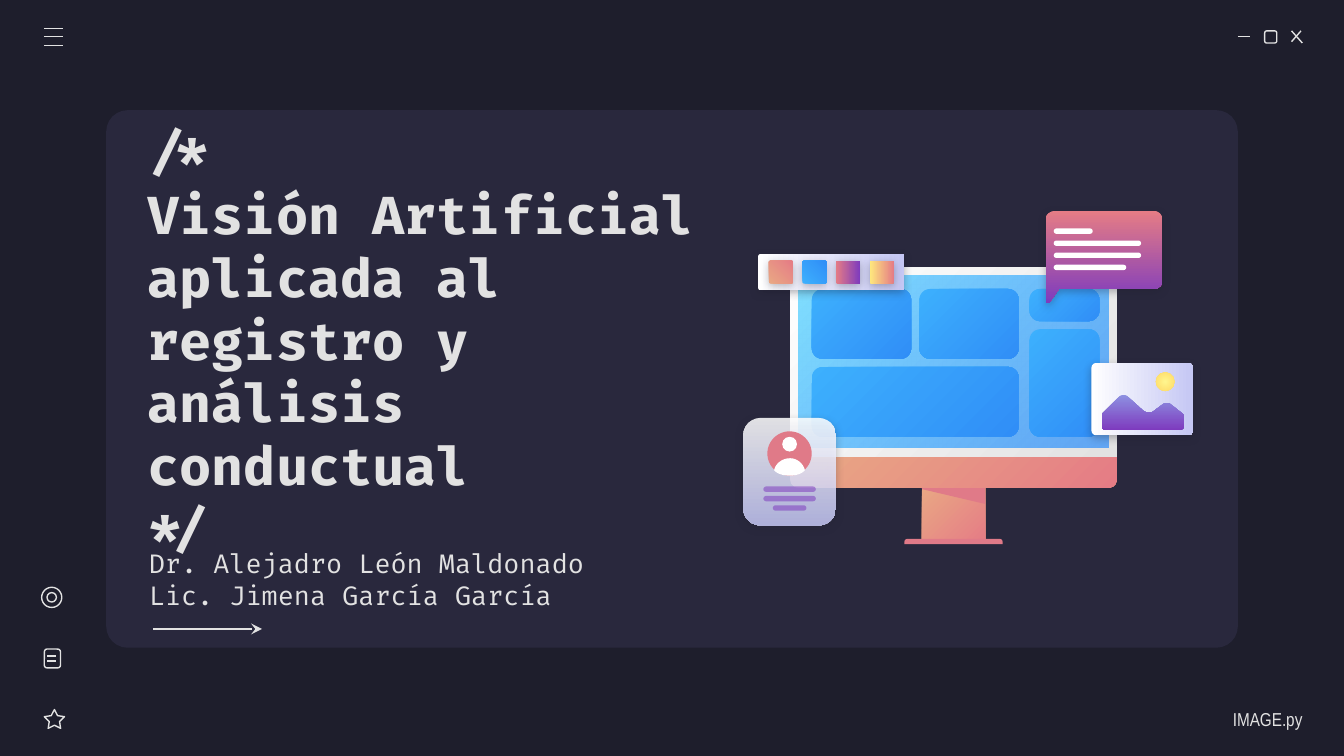
from lxml import etree
from pptx import Presentation
from pptx.dml.color import RGBColor
from pptx.enum import shapes, text
from pptx.oxml.ns import qn
from pptx.util import Inches, Pt

BG, PANEL, INK = "1E1E2C", "29283D", "E2E2E2"
WHITE, ROSE, VIOLET = "FFFFFF", "E07A88", "7E3BBE"
CORAL = ("E9A984", "E57C85", 45)
SILVER = ("FFFFFF", "E2E2E2", 45)
BLUE = ("3DB0FD", "308EF7", 45)
LILAC = ("FFFFFF", "C5C7F4", 0)
RECT, ROUND, TOP_ROUND, OVAL, STAR = (
    shapes.MSO_SHAPE.RECTANGLE, shapes.MSO_SHAPE.ROUNDED_RECTANGLE,
    shapes.MSO_SHAPE.ROUND_2_SAME_RECTANGLE, shapes.MSO_SHAPE.OVAL,
    shapes.MSO_SHAPE.STAR_5_POINT)


def rgb(value):
    return RGBColor.from_string(value)


def set_alpha(fill_xml, alphas):
    for clr, alpha in zip(fill_xml.iter(qn("a:srgbClr")), alphas):
        etree.SubElement(clr, qn("a:alpha"), val=str(alpha * 1000))


def style(sp, fill=None, line=None, alphas=(), shadow=False):
    sp.shadow.inherit = False
    if fill is None:
        sp.fill.background()
    elif isinstance(fill, str):
        sp.fill.solid()
        sp.fill.fore_color.rgb = rgb(fill)
    else:
        sp.fill.gradient()
        sp.fill.gradient_angle = -fill[2] % 360
        for i, stop in enumerate(sp.fill.gradient_stops):
            stop.color.rgb = rgb(fill[i])
            stop.position = i
    spPr = sp._element.spPr
    set_alpha(spPr, alphas)
    if line:
        sp.line.color.rgb = rgb(line)
        sp.line.width = Pt(0.75)
    else:
        sp.line.fill.background()
    if shadow:
        outer = etree.SubElement(
            spPr.find(qn("a:effectLst")), qn("a:outerShdw"), blurRad=str(Pt(4.5)),
            dist=str(Pt(1.5)), dir="5400000", algn="bl", rotWithShape="0")
        etree.SubElement(outer, qn("a:srgbClr"), val=BG)
        set_alpha(outer, [30])
    return sp


def add_shape(parent, kind, x, y, w, h, fill=None, adj=(), **look):
    sp = parent.add_shape(kind, Inches(x), Inches(y), Inches(w), Inches(h))
    for i, value in enumerate(adj):
        sp.adjustments[i] = value
    return style(sp, fill, **look)


def add_path(parent, x, y, start, segments, fill, **look):
    points, last = [], start
    for seg in segments:
        if len(seg) == 2:
            points.append(seg)
        else:
            a, b, c = seg[:2], seg[2:4], seg[4:]
            for t in (i / 8 for i in range(1, 9)):
                s = 1 - t
                points.append(tuple(
                    s**3 * last[k] + 3 * s * s * t * a[k] + 3 * s * t * t * b[k] + t**3 * c[k]
                    for k in (0, 1)))
        last = points[-1]
    place = lambda p: (Inches(x + p[0]), Inches(y + p[1]))
    ff = parent.build_freeform(*place(start))
    ff.add_line_segments([place(p) for p in points], close=True)
    return style(ff.convert_to_shape(), fill, **look)


def add_line(parent, x1, y1, x2, y2, arrow=False):
    cx = parent.add_connector(shapes.MSO_CONNECTOR.STRAIGHT,
                              Inches(x1), Inches(y1), Inches(x2), Inches(y2))
    cx.line.color.rgb = rgb(INK)
    cx.line.width = Pt(0.75)
    spPr = cx._element.spPr
    if arrow:
        etree.SubElement(spPr.find(qn("a:ln")), qn("a:tailEnd"), type="stealth")
    etree.SubElement(spPr, qn("a:effectLst"))


def add_text(parent, x, y, w, h, lines, size, font, bold=False, align=None, right=0.1):
    tb = parent.add_textbox(Inches(x), Inches(y), Inches(w), Inches(h))
    tf = tb.text_frame
    tf.word_wrap = True
    tf.vertical_anchor = text.MSO_ANCHOR.MIDDLE
    tf.margin_left = tf.margin_top = tf.margin_bottom = Inches(0.1)
    tf.margin_right = Inches(right)
    tf.text = lines
    for p in tf.paragraphs:
        p.font.size, p.font.name, p.font.bold = Pt(size), font, bold
        p.font.color.rgb = rgb(INK)
        if align:
            p.alignment = align


def window_buttons(parent, x, y):
    add_line(parent, x, y + 0.04, x + 0.09, y + 0.04)
    add_shape(parent, ROUND, x + 0.2, y, 0.09, 0.09, adj=[0.167], line=INK)
    add_line(parent, x + 0.4, y, x + 0.48, y + 0.09)
    add_line(parent, x + 0.47, y, x + 0.4, y + 0.08)


def menu_icon(parent, x, y):
    for dy in (0, 0.06, 0.13):
        add_line(parent, x, y + dy, x + 0.14, y + dy)


def side_icons(parent, x, y):
    add_shape(parent, OVAL, x, y, 0.15, 0.15, line=INK)
    add_shape(parent, OVAL, x + 0.04, y + 0.04, 0.07, 0.07, line=INK)
    add_shape(parent, ROUND, x + 0.02, y + 0.46, 0.12, 0.14, adj=[0.167], line=INK)
    for dy in (0.51, 0.55):
        add_line(parent, x + 0.04, y + dy, x + 0.11, y + dy)
    add_shape(parent, STAR, x + 0.02, y + 0.91, 0.15, 0.14, adj=[0.254], line=INK)


def monitor(parent, x, y):
    add_shape(parent, RECT, x + 0.98, y + 1.62, 0.47, 0.43, CORAL)
    add_shape(parent, TOP_ROUND, x + 0.85, y + 2.02, 0.73, 0.04, ROSE, adj=[0.5, 0])
    add_path(parent, x + 0.98, y + 1.62, (0, 0),
             [(0, 0.03), (0.47, 0.14), (0.47, 0)], ROSE)
    add_shape(parent, TOP_ROUND, x, y + 1.4, 2.43, 0.24, CORAL, adj=[0, 0.26])
    add_shape(parent, TOP_ROUND, x, y, 2.43, 1.41, SILVER, adj=[0.04, 0])
    add_shape(parent, RECT, x + 0.06, y + 0.06, 2.31, 1.28,
              ("80DFFF", "318FFA", 45), alphas=(100, 72))
    tiles = [(0.16, 0.16, 0.74, 0.52), (0.16, 0.74, 1.54, 0.52), (0.96, 0.16, 0.74, 0.52),
             (1.78, 0.16, 0.52, 0.24), (1.78, 0.46, 0.52, 0.8)]
    for dx, dy, w, h in tiles:
        add_shape(parent, ROUND, x + dx, y + dy, w, h, BLUE, adj=[0.08 / min(w, h)])


def speech_bubble(parent, x, y):
    add_path(parent, x, y, (0.07, 0), [
        (0.03, 0, 0, 0.03, 0, 0.07), (0, 0.67), (0, 0.68, 0.02, 0.69, 0.03, 0.68),
        (0.1, 0.58), (0.81, 0.58), (0.84, 0.58, 0.87, 0.55, 0.87, 0.52),
        (0.87, 0.07), (0.87, 0.03, 0.84, 0, 0.81, 0)],
        ("E57C85", VIOLET, 90), shadow=True)
    for i, w in enumerate((0.29, 0.65, 0.65, 0.54)):
        add_shape(parent, ROUND, x + 0.06, y + 0.13 + i * 0.09, w, 0.04, WHITE, adj=[0.5])


def profile_card(parent, x, y):
    add_shape(parent, ROUND, x, y, 0.69, 0.8, ("FFFFFF", "C5C7F4", 90),
              adj=[0.187], alphas=(86, 86), shadow=True)
    add_shape(parent, OVAL, x + 0.18, y + 0.1, 0.33, 0.33, ROSE)
    add_shape(parent, OVAL, x + 0.29, y + 0.14, 0.11, 0.11, WHITE)
    add_path(parent, x + 0.23, y + 0.3, (0.12, 0), [
        (0.06, 0, 0.01, 0.04, 0, 0.09), (0.03, 0.12, 0.07, 0.13, 0.12, 0.13),
        (0.16, 0.13, 0.2, 0.12, 0.23, 0.09), (0.22, 0.04, 0.17, 0, 0.12, 0)], WHITE)
    for i, w in enumerate((0.39, 0.39, 0.25)):
        add_shape(parent, ROUND, x + (0.69 - w) / 2, y + 0.51 + i * 0.07, w, 0.04,
                  VIOLET, adj=[0.5], alphas=[54])


def photo(parent, x, y):
    add_shape(parent, ROUND, x, y, 0.76, 0.54, LILAC, adj=[0.073], shadow=True)
    add_path(parent, x + 0.08, y + 0.24, (0.16, 0), [
        (0.15, 0, 0.14, 0, 0.13, 0.01), (0.01, 0.13), (0, 0.14, 0, 0.14, 0, 0.15),
        (0, 0.23), (0, 0.25, 0.01, 0.26, 0.03, 0.26), (0.57, 0.26),
        (0.59, 0.26, 0.61, 0.25, 0.61, 0.23), (0.61, 0.16),
        (0.61, 0.15, 0.6, 0.14, 0.6, 0.14), (0.5, 0.06),
        (0.49, 0.06, 0.46, 0.06, 0.45, 0.07), (0.37, 0.13),
        (0.36, 0.13, 0.32, 0.13, 0.31, 0.12), (0.19, 0.01),
        (0.18, 0, 0.17, 0, 0.16, 0)], ("8D90E1", VIOLET, 90))
    sun = add_shape(parent, OVAL, x + 0.48, y + 0.07, 0.14, 0.14, ("FFF68E", "FFD966", 0))
    grad = sun._element.spPr.find(qn("a:gradFill"))
    grad.remove(grad.find(qn("a:lin")))
    radial = etree.SubElement(grad, qn("a:path"), path="circle")
    etree.SubElement(radial, qn("a:fillToRect"), l="50000", t="50000", r="50000", b="50000")


def palette(parent, x, y):
    add_shape(parent, ROUND, x, y, 1.09, 0.27, LILAC, adj=[0.073], shadow=True)
    swatches = [("E9A984", "E57C85", 315), ("3DB0FD", "308EF7", 315),
                ("E57C85", VIOLET, 0), ("FFEA7D", "E57C85", 0)]
    for i, fill in enumerate(swatches):
        add_shape(parent, ROUND, x + 0.08 + i * 0.25, y + 0.05, 0.18, 0.17, fill,
                  adj=[0.073], shadow=True)


def main():
    prs = Presentation()
    prs.slide_width = Inches(10)
    prs.slide_height = prs.slide_width * 9 // 16
    slide = prs.slides.add_slide(prs.slide_layouts[6])
    slide.background.fill.solid()
    slide.background.fill.fore_color.rgb = rgb(BG)
    top = slide.shapes

    add_shape(top, ROUND, 0.79, 0.82, 8.42, 4, PANEL, adj=[0.04])
    window_buttons(top.add_group_shape().shapes, 9.21, 0.23)
    add_text(top, 1.01, 4.08, 3.47, 0.46,
             "Dr. Alejadro León Maldonado\nLic. Jimena García García", 14, "Fira Code")
    add_text(top, 1, 1.64, 4.47, 1.77,
             "/*\vVisión Artificial aplicada al registro y análisis conductual\v*/",
             28, "Fira Code", bold=True)
    regions = [(monitor, 5.88, 1.99), (speech_bubble, 7.78, 1.57), (menu_icon, 0.33, 0.21),
               (profile_card, 5.53, 3.11), (photo, 8.12, 2.7), (palette, 5.64, 1.89),
               (side_icons, 0.31, 4.37)]
    for draw, x, y in regions:
        draw(top.add_group_shape().shapes, x, y)
    add_line(top, 1.14, 4.68, 1.95, 4.68, arrow=True)
    add_text(top, 8.52, 5.2, 1.17, 0.3, "IMAGE.py", 10, "Arial Narrow",
             align=text.PP_ALIGN.RIGHT, right=0)
    prs.save("out.pptx")


if __name__ == "__main__":
    main()
